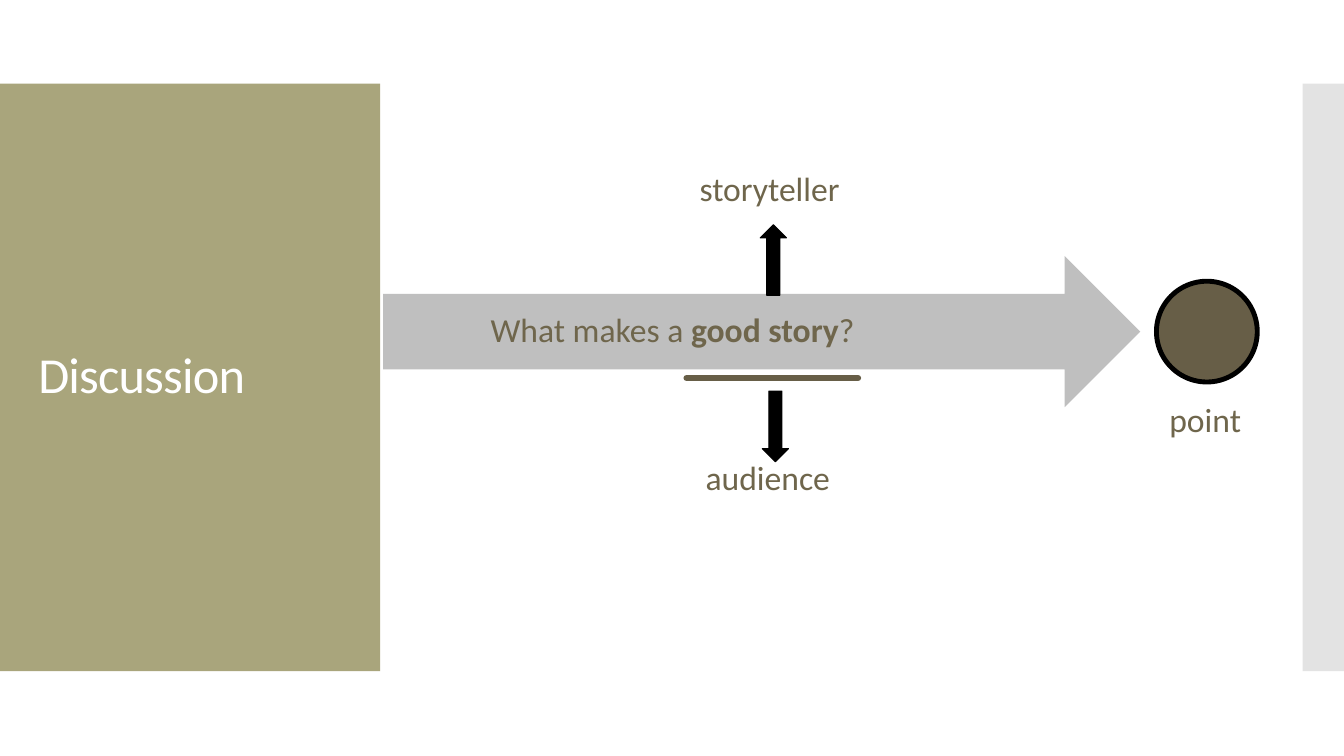
from dataclasses import dataclass

from lxml import etree
from pptx import Presentation
from pptx import util as u
from pptx.dml.color import RGBColor
from pptx.enum import shapes, text
from pptx.oxml.ns import qn

PX = 9144  # EMU per px, 100 px to the inch
SHAPE = shapes.MSO_SHAPE


@dataclass(frozen=True)
class Theme:
    font: str = "Calibri"
    panel: str = "A9A57C"
    strip: str = "C8C8C8"
    arrow: str = "BFBFBF"
    accent: str = "675E47"
    ink: str = "6F664C"
    black: str = "000000"
    white: str = "FFFFFF"
    title_size: int = 36
    text_size: int = 24


def px(*values):
    return [u.Emu(v * PX) for v in values]


def set_attrs(obj, values):
    for name, value in values.items():
        setattr(obj, name, value)


class Deck:
    def __init__(self, theme):
        self.theme = theme
        self.prs = Presentation()
        self.prs.slide_width, self.prs.slide_height = px(1333, 750)
        self.s = self.prs.slides.add_slide(self.prs.slide_layouts[1])

    def shape(self, kind, box, fill, line=None, width=0, alpha=None, rotation=0):
        sp = self.s.shapes.add_shape(kind, *px(*box))
        sp.shadow.inherit = False
        sp.rotation = rotation
        sp.fill.solid()
        sp.fill.fore_color.rgb = RGBColor.from_string(fill)
        if alpha is not None:
            color = sp._element.spPr.find(qn("a:solidFill"))[0]
            etree.SubElement(color, qn("a:alpha"), val=str(alpha * 1000))
        if line:
            sp.line.color.rgb = RGBColor.from_string(line)
            sp.line.width = u.Pt(width)
        else:
            sp.line.fill.background()

    def rule(self, x1, x2, y, color, width):
        """Draw a horizontal line with round ends."""
        sp = self.s.shapes.add_connector(
            shapes.MSO_CONNECTOR.STRAIGHT, *px(x1, y, x2, y))
        sp.line.color.rgb = RGBColor.from_string(color)
        sp.line.width = u.Pt(width)
        sp._element.spPr.find(qn("a:ln")).set("cap", "rnd")
        etree.SubElement(sp._element.spPr, qn("a:effectLst"))

    def add_text(self, sp, runs, size, color, frame, para, spacing=None):
        """Fill a shape with one paragraph of (wording, bold) runs."""
        tf = sp.text_frame
        set_attrs(tf, {"word_wrap": True,
                       "auto_size": text.MSO_AUTO_SIZE.NONE, **frame})
        p = tf.paragraphs[0]
        set_attrs(p, para)
        for wording, bold in runs:
            r = p.add_run()
            r.text = wording
            set_attrs(r.font, {"name": self.theme.font, "size": u.Pt(size),
                               "bold": bold})
            r.font.color.rgb = RGBColor.from_string(color)
            if spacing is not None:
                r._r.get_or_add_rPr().set("spc", str(spacing))
        return p

    def label(self, box, wording):
        sp = self.s.shapes.add_textbox(*px(*box))
        self.add_text(sp, [(wording, False)], self.theme.text_size,
                      self.theme.ink, {}, {})

    def place(self, sp, box):
        """Move a placeholder to its box and in front of earlier shapes."""
        set_attrs(sp, dict(zip(("left", "top", "width", "height"), px(*box))))
        self.s.shapes._spTree.append(sp._element)

    def title(self, box, wording):
        sp = self.s.shapes.title
        self.place(sp, box)
        self.add_text(sp, [(wording, False)], self.theme.title_size,
                      self.theme.white,
                      {"vertical_anchor": text.MSO_ANCHOR.MIDDLE},
                      {"alignment": text.PP_ALIGN.LEFT, "line_spacing": 0.9},
                      spacing=-60)

    def body(self, box, runs):
        sp = self.s.placeholders[1]
        self.place(sp, box)
        p = self.add_text(sp, runs, self.theme.text_size, self.theme.ink,
                          {"vertical_anchor": text.MSO_ANCHOR.MIDDLE},
                          {"alignment": text.PP_ALIGN.CENTER,
                           "line_spacing": 0.9, "space_before": u.Pt(0)})
        pPr = p._p.get_or_add_pPr()
        pPr.set("marL", "0")
        pPr.set("indent", "0")
        etree.SubElement(pPr, qn("a:buNone"))


def main():
    t = Theme()
    d = Deck(t)
    d.shape(SHAPE.RECTANGLE, (0, 83, 377, 583), t.panel)
    d.shape(SHAPE.RECTANGLE, (1292, 83, 41, 583), t.strip, alpha=50)

    d.shape(SHAPE.RIGHT_ARROW, (380, 254, 751, 150), t.arrow)
    d.shape(SHAPE.OVAL, (1147, 279, 100, 100), t.accent, t.black, 3.5)
    d.label((1150, 391, 93, 50), "point")
    d.body((217, 299, 900, 60), [("What makes a ", False),
                                 ("good story", True), ("?", False)])
    d.rule(681, 851, 375, t.accent, 4.5)

    for arrow, rotation, box, wording in (
            ((754, 223, 26, 70), 0, (684, 162, 166, 50), "storyteller"),
            ((756, 388, 26, 70), 180, (690, 448, 157, 50), "audience")):
        d.shape(SHAPE.UP_ARROW, arrow, t.black, t.black, 0.75,
                rotation=rotation)
        d.label(box, wording)

    d.title((28, 123, 322, 503), "Discussion")
    d.prs.save("out.pptx")


if __name__ == "__main__":
    main()
